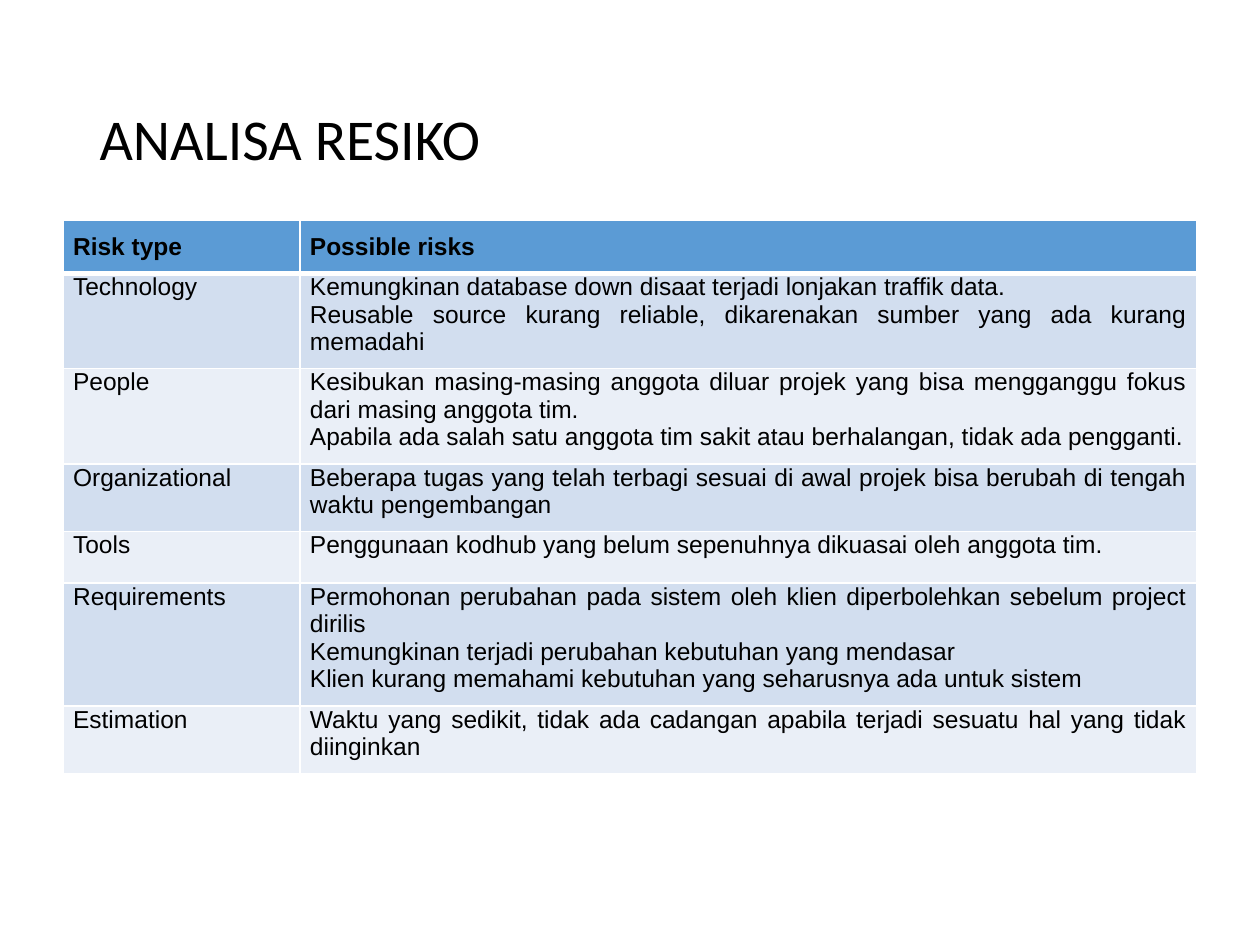
from pptx import Presentation
from pptx.dml.color import RGBColor
from pptx.enum.text import MSO_ANCHOR, PP_ALIGN
from pptx.oxml import parse_xml
from pptx.oxml.ns import nsdecls
from pptx.util import Inches, Pt

COLORS = {"text": "000000", "header": "5B9BD5", "odd": "D2DEEF",
          "even": "EAEFF7", "border": "FFFFFF"}

RISKS = [
    ("Risk type", "Possible risks"),
    ("Technology",
     "Kemungkinan database down disaat terjadi lonjakan traffik data.\n"
     "Reusable source kurang reliable, dikarenakan sumber yang ada kurang memadahi"),
    ("People",
     "Kesibukan masing-masing anggota diluar projek yang bisa mengganggu fokus "
     "dari masing anggota tim.\n"
     "Apabila ada salah satu anggota tim sakit atau berhalangan, tidak ada pengganti."),
    ("Organizational",
     "Beberapa tugas yang telah terbagi sesuai di awal projek bisa berubah di tengah "
     "waktu pengembangan"),
    ("Tools", "Penggunaan kodhub yang belum sepenuhnya dikuasai oleh anggota tim."),
    ("Requirements",
     "Permohonan perubahan pada sistem oleh klien diperbolehkan sebelum project dirilis\n"
     "Kemungkinan terjadi perubahan kebutuhan yang mendasar\n"
     "Klien kurang memahami kebutuhan yang seharusnya ada untuk sistem"),
    ("Estimation",
     "Waktu yang sedikit, tidak ada cadangan apabila terjadi sesuatu hal yang tidak "
     "diinginkan"),
]


def format_text(para, font_name, size, bold=False):
    for span in para.runs:
        span.font.name = font_name
        span.font.size = Pt(size)
        span.font.bold = bold
        span.font.color.rgb = RGBColor.from_string(COLORS["text"])


def set_borders(cell, bottom_width):
    properties = cell._tc.get_or_add_tcPr()
    widths = {"lnL": 1, "lnR": 1, "lnT": 1, "lnB": bottom_width}
    for position, (side, width) in enumerate(widths.items()):
        line = parse_xml(
            f'<a:{side} {nsdecls("a")} w="{Pt(width)}"><a:solidFill>'
            f'<a:srgbClr val="{COLORS["border"]}"/></a:solidFill></a:{side}>')
        properties.insert(position, line)


deck = Presentation()
deck.slide_width, deck.slide_height = Inches(10), Inches(7.5)
page = deck.slides.add_slide(deck.slide_layouts[5])

# Title
title = page.shapes.title
title.left, title.top = Inches(0.69), Inches(0.4)
title.width, title.height = Inches(8.62), Inches(1.45)
title.text_frame.text = "ANALISA RESIKO"
title.text_frame.vertical_anchor = MSO_ANCHOR.MIDDLE
heading = title.text_frame.paragraphs[0]
heading.alignment = PP_ALIGN.LEFT
heading.line_spacing = 0.9
format_text(heading, "Calibri", 33)

# Risk table
row_height = Inches(0.41)
table = page.shapes.add_table(len(RISKS), 2, Inches(0.5), Inches(1.75),
                              Inches(9), row_height * len(RISKS)).table
for column, width in zip(table.columns, (1.88, 7.12)):
    column.width = Inches(width)

for row_index, texts in enumerate(RISKS):
    is_header = row_index == 0
    band = "header" if is_header else "odd" if row_index % 2 else "even"
    table.rows[row_index].height = row_height
    for column_index, text in enumerate(texts):
        cell = table.cell(row_index, column_index)
        cell.text_frame.text = text
        cell.margin_left = cell.margin_right = Inches(0.08)
        cell.margin_top = Inches(0.1 if is_header else 0)
        cell.margin_bottom = Inches(0.1)
        cell.fill.solid()
        cell.fill.fore_color.rgb = RGBColor.from_string(COLORS[band])
        set_borders(cell, 3 if is_header else 1)
        for para in cell.text_frame.paragraphs:
            para.alignment = PP_ALIGN.JUSTIFY
            format_text(para, "Arial", 14, is_header)

deck.save("out.pptx")
